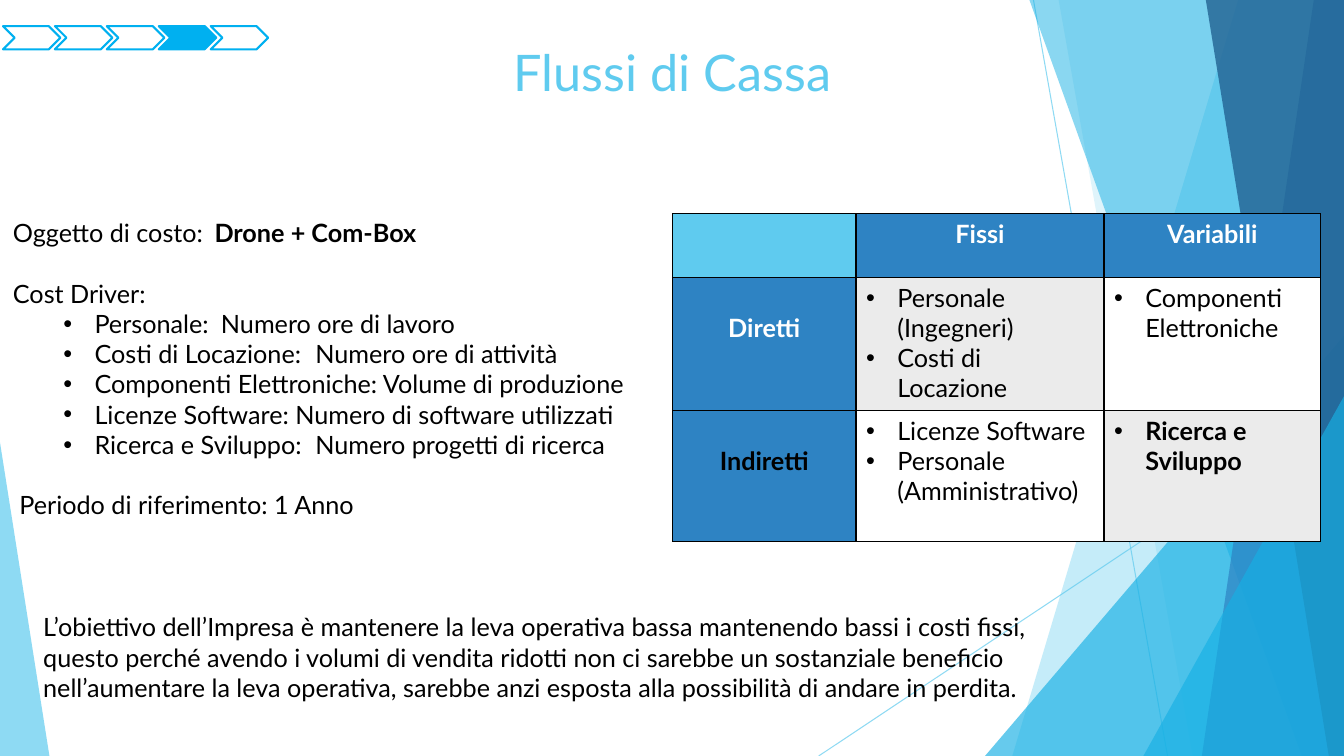
from lxml.etree import SubElement
from pptx import Presentation
from pptx.dml.color import RGBColor
from pptx.enum.shapes import MSO_CONNECTOR, MSO_SHAPE
from pptx.enum.text import MSO_ANCHOR, PP_ALIGN
from pptx.oxml.ns import qn
from pptx.util import Inches, Pt

SKY = RGBColor(0x5F, 0xCB, 0xEF)
CYAN = RGBColor(0x17, 0xB0, 0xE4)
BLUE = RGBColor(0x2E, 0x83, 0xC3)
NAVY = RGBColor(0x22, 0x62, 0x92)
AQUA = RGBColor(0x00, 0xB0, 0xF0)
GRAY = RGBColor(0xEB, 0xEB, 0xEB)
WHITE = RGBColor(0xFF, 0xFF, 0xFF)
BLACK = RGBColor(0x00, 0x00, 0x00)
FONT = "Lato"


def write(para, text, size=18, color=BLACK, bold=False, align=PP_ALIGN.LEFT,
          indent=0, gap=0):
    run = para.add_run()
    run.text = text
    font = run.font
    font.name, font.size, font.bold = FONT, Pt(size), bold
    font.color.rgb = color
    para.alignment = align
    para.space_before = Pt(gap)
    if indent:
        props = para._p.get_or_add_pPr()
        props.set("marL", str(Inches(indent)))
        props.set("indent", str(Inches(-0.31)))
        SubElement(props, qn("a:buFont")).set("typeface", "Arial")
        SubElement(props, qn("a:buChar")).set("char", "•")


def add_para(frame, text, **style):
    para = frame.paragraphs[0]
    if para.runs:
        para = frame.add_paragraph()
    write(para, text, **style)
    return para


def add_box(slide, box):
    frame = slide.shapes.add_textbox(*map(Inches, box)).text_frame
    frame.word_wrap = True
    return frame


def fade(shape, alpha):
    tone = shape._element.spPr.find(".//" + qn("a:srgbClr"))
    SubElement(tone, qn("a:alpha")).set("val", str(alpha * 1000))


def paint(shape, color, alpha):
    shape.shadow.inherit = False
    shape.fill.solid()
    shape.fill.fore_color.rgb = color
    shape.line.fill.background()
    fade(shape, alpha)


def add_ray(slide, start, end):
    ray = slide.shapes.add_connector(
        MSO_CONNECTOR.STRAIGHT, *map(Inches, start + end))
    ray.line.color.rgb = SKY
    ray.line.width = Pt(0.75)
    fade(ray, 70)
    SubElement(ray._element.spPr, qn("a:effectLst"))


def add_shard(slide, box, top, base, color, alpha):
    left, head, width, height = box
    right, foot = left + width, head + height
    points = [(right, head), (right, foot), (left + base, foot)]
    draft = slide.shapes.build_freeform(Inches(left + top), Inches(head))
    draft.add_line_segments([(Inches(x), Inches(y)) for x, y in points])
    paint(draft.convert_to_shape(), color, alpha)


def add_peak(slide, box, tip, color, alpha):
    peak = slide.shapes.add_shape(MSO_SHAPE.ISOSCELES_TRIANGLE,
                                  *map(Inches, box))
    peak.adjustments[0] = tip
    paint(peak, color, alpha)


def add_decor(slide, box):
    left, top, width, height = box
    right, foot = left + width, top + height
    add_ray(slide, (left + 10.25, top), (left + 11.58, foot))
    add_ray(slide, (right, top + 4.03), (left + 8.12, foot))
    add_shard(slide, box, 12.28, 10.04, SKY, 36)
    add_shard(slide, box, 10.5, 11.83, SKY, 20)
    add_peak(slide, (right - 3.56, foot - 4.17, 3.56, 4.17), 1, CYAN, 66)
    add_shard(slide, box, 10.21, 12.91, CYAN, 50)
    add_shard(slide, box, 13.03, 11.92, BLUE, 70)
    add_shard(slide, box, 11.96, 13.18, NAVY, 80)
    add_peak(slide, (right - 1.99, foot - 3.57, 1.99, 3.57), 1, CYAN, 66)
    add_peak(slide, (left, foot - 3.11, 0.49, 3.11), 0, SKY, 70)


def add_steps(slide, box, count, active):
    left, top, width, height = box
    size = 0.57
    pitch = (width - size) / (count - 1)
    for index in range(count):
        step = slide.shapes.add_shape(
            MSO_SHAPE.CHEVRON, Inches(left + index * pitch), Inches(top),
            Inches(size), Inches(height))
        step.shadow.inherit = False
        step.fill.solid()
        step.fill.fore_color.rgb = AQUA if index == active else WHITE
        step.line.color.rgb = AQUA
        step.line.width = Pt(1.5)


def add_title(slide, box, text):
    title = slide.shapes.title
    title.left, title.top, title.width, title.height = map(Inches, box)
    frame = title.text_frame
    frame.vertical_anchor = MSO_ANCHOR.MIDDLE
    add_para(frame, text, size=36, color=SKY, align=PP_ALIGN.CENTER)


def style_cell(cell, color):
    props = cell._tc.get_or_add_tcPr()
    for side in ("a:lnL", "a:lnR", "a:lnT", "a:lnB"):
        edge = SubElement(props, qn(side), w=str(Pt(1)))
        fill = SubElement(edge, qn("a:solidFill"))
        SubElement(fill, qn("a:srgbClr"), val=str(BLACK))
    cell.fill.solid()
    cell.fill.fore_color.rgb = color


def add_costs(slide, box):
    grid = slide.shapes.add_table(3, 3, *map(Inches, box)).table
    grid.first_row = grid.horz_banding = False
    for column, width in zip(grid.columns, (1.82, 2.46, 2.15)):
        column.width = Inches(width)
    for row, height in zip(grid.rows, (0.63, 1.32, 1.3)):
        row.height = Inches(height)

    style_cell(grid.cell(0, 0), SKY)
    heads = [(0, 1, "Fissi", WHITE), (0, 2, "Variabili", WHITE),
             (1, 0, "Diretti", WHITE), (2, 0, "Indiretti", BLACK)]
    for row, col, text, color in heads:
        cell = grid.cell(row, col)
        style_cell(cell, BLUE)
        if row:
            cell.margin_top = Inches(0.35)
        add_para(cell.text_frame, text, color=color, bold=True,
                 align=PP_ALIGN.CENTER)

    lists = [(1, 1, ["Personale (Ingegneri)", "Costi di Locazione"], False),
             (1, 2, ["Componenti Elettroniche"], False),
             (2, 1, ["Licenze Software", "Personale (Amministrativo)"], False),
             (2, 2, ["Ricerca e Sviluppo"], True)]
    for row, col, items, bold in lists:
        cell = grid.cell(row, col)
        style_cell(cell, GRAY if row == col else WHITE)
        for item in items:
            add_para(cell.text_frame, item, bold=bold, indent=0.31)


def add_drivers(slide, box):
    frame = add_box(slide, box)
    first = add_para(frame, "Oggetto di costo:\t")
    write(first, "Drone + Com-Box", bold=True)
    add_para(frame, "Cost Driver:", gap=21.6)
    for item in ("Personale:\t Numero ore di lavoro",
                 "Costi di Locazione:\tNumero ore di attività",
                 "Componenti Elettroniche: Volume di produzione",
                 "Licenze Software: Numero di software utilizzati",
                 "Ricerca e Sviluppo:\tNumero progetti di ricerca"):
        add_para(frame, item, indent=0.81)
    add_para(frame, " Periodo di riferimento: 1 Anno", gap=21.6)


def add_goal(slide, box):
    add_para(add_box(slide, box),
             "L’obiettivo dell’Impresa è mantenere la leva operativa bassa "
             "mantenendo bassi i costi fissi, questo perché avendo i volumi "
             "di vendita ridotti non ci sarebbe un sostanziale beneficio "
             "nell’aumentare la leva operativa, sarebbe anzi esposta alla "
             "possibilità di andare in perdita.")


def main():
    deck = Presentation()
    deck.slide_width, deck.slide_height = Inches(13.33), Inches(7.5)
    slide = deck.slides.add_slide(deck.slide_layouts[5])
    add_decor(slide, (0, 0, 13.33, 7.5))
    add_steps(slide, (0.03, 0.26, 2.63, 0.23), 5, 3)
    add_title(slide, (4.93, 0.33, 3.48, 0.75), "Flussi di Cassa")
    add_costs(slide, (6.67, 2.12, 6.43, 3.25))
    add_drivers(slide, (0.03, 2.11, 6.64, 3.43))
    add_goal(slide, (0.33, 6.02, 10.49, 1.01))
    deck.save("out.pptx")


if __name__ == "__main__":
    main()
